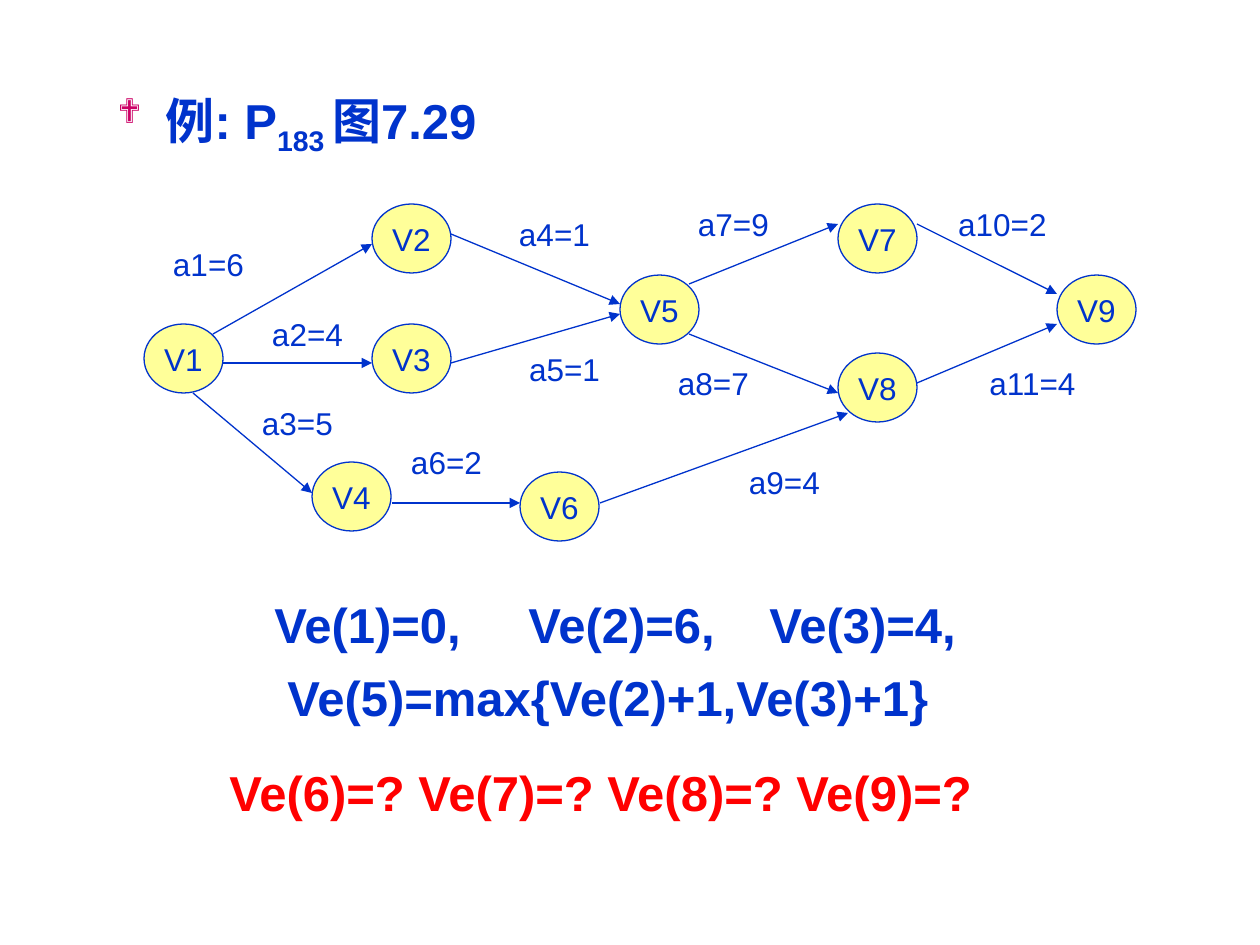
from lxml import etree
from pptx import Presentation
from pptx import util as u
from pptx.dml.color import RGBColor
from pptx.enum import shapes, text
from pptx.oxml.ns import qn

PX = u.Inches(1) / 126
BLUE, RED, CREAM, WHITE = "0033CC", "FF0000", "FFFF99", "FFFFFF"
NODE = (79, 69)
LABEL = (89, 39)

NODES = {
    "V1": (144, 324), "V2": (372, 204), "V3": (372, 324),
    "V4": (312, 462), "V5": (620, 275), "V6": (520, 472),
    "V7": (838, 204), "V8": (838, 353), "V9": (1057, 275),
}

# Label, its left and top, then the start and end of the arrow
EDGES = [
    ("a1=6", (164, 244), (213, 334), (372, 244)),
    ("a2=4", (263, 314), (223, 363), (372, 363)),
    ("a3=5", (253, 403), (193, 393), (312, 493)),
    ("a4=1", (510, 214), (451, 234), (620, 304)),
    ("a5=1", (520, 349), (451, 363), (620, 314)),
    ("a6=2", (402, 442), (392, 503), (520, 503)),
    ("a7=9", (689, 204), (689, 284), (838, 224)),
    ("a8=7", (669, 363), (689, 334), (838, 393)),
    ("a9=4", (740, 462), (600, 503), (848, 413)),
    ("a10=2", (958, 204), (917, 224), (1057, 294)),
    ("a11=4", (988, 363), (917, 383), (1057, 324)),
]


def px(*nums):
    return [u.Emu(round(n * PX)) for n in nums]


def color(code):
    return RGBColor.from_string(code)


def add_sub(parent, tag, **attrs):
    """Append an XML child with the given attributes."""
    node = etree.SubElement(parent, qn(tag))
    for key, val in attrs.items():
        node.set(key, str(val))
    return node


def style(para, size, code, bold=False):
    for run in para.runs:
        font = run.font
        font.name, font.size, font.bold = "Arial", u.Pt(size), bold
        font.color.rgb = color(code)


def add_title(slide):
    title = slide.shapes.title
    title.left, title.top, title.width, title.height = px(105, 96, 1072, 80)
    frame = title.text_frame
    frame.vertical_anchor = text.MSO_ANCHOR.TOP
    frame.auto_size = text.MSO_AUTO_SIZE.NONE
    para = frame.paragraphs[0]
    para.alignment = text.PP_ALIGN.LEFT
    para.line_spacing = 0.7
    para.space_before = u.Pt(0)
    props = para._p.get_or_add_pPr()
    hang = px(48)[0]
    props.set("marL", str(hang))
    props.set("indent", str(-hang))
    add_sub(add_sub(props, "a:buClr"), "a:srgbClr", val="CC0066")
    add_sub(props, "a:buSzPct", val=70000)
    add_sub(props, "a:buFont", typeface="Wingdings")
    add_sub(props, "a:buChar", char="❖")
    for part in ("例: P", "183 ", "图7.29"):
        para.add_run().text = part
    style(para, 28, BLUE, True)
    para.runs[1].font._element.set("baseline", "-25000")


def add_box(slide, kind, label, spot, size, fill, line=None):
    """Draw a filled shape with one centred line of text."""
    box = slide.shapes.add_shape(kind, *px(*spot, *size))
    box.shadow.inherit = False
    box.fill.solid()
    box.fill.fore_color.rgb = color(fill)
    if line:
        box.line.color.rgb = color(line)
        box.line.width = u.Pt(0.75)
    else:
        box.line.fill.background()
    frame = box.text_frame
    frame.word_wrap = False
    frame.vertical_anchor = text.MSO_ANCHOR.MIDDLE
    frame.text = label
    para = frame.paragraphs[0]
    para.alignment = text.PP_ALIGN.CENTER
    style(para, 18, BLUE)


def add_arrow(slide, start, end):
    line = slide.shapes.add_connector(
        shapes.MSO_CONNECTOR.STRAIGHT, *px(*start, *end))
    line.line.color.rgb = color(BLUE)
    line.line.width = u.Pt(0.75)
    add_sub(line.line._get_or_add_ln(), "a:tailEnd", type="triangle")
    add_sub(line._element.spPr, "a:effectLst")


def add_text(slide, lines, area, code):
    box = slide.shapes.add_textbox(*px(*area))
    frame = box.text_frame
    frame.word_wrap = True
    frame.text = "\n".join(lines)
    for para in frame.paragraphs:
        style(para, 28, code, True)
    return frame.paragraphs


def add_times(slide):
    """Write the earliest event times under the graph."""
    first, last = add_text(
        slide,
        ["Ve(1)=0,\tVe(2)=6,\tVe(3)=4,", "Ve(5)=max{Ve(2)+1,Ve(3)+1}"],
        (262, 588, 814, 142), BLUE)
    tabs = add_sub(first._p.get_or_add_pPr(), "a:tabLst")
    for pos in px(254, 495):
        add_sub(tabs, "a:tab", pos=pos, algn="l")
    last.space_before = u.Pt(8)
    last._p.get_or_add_pPr().set("marL", str(px(13)[0]))
    add_text(slide, ["Ve(6)=? Ve(7)=? Ve(8)=? Ve(9)=?"],
             (217, 756, 873, 72), RED)


def main():
    deck = Presentation()
    deck.slide_width, deck.slide_height = u.Inches(10), u.Inches(7.5)
    slide = deck.slides.add_slide(deck.slide_layouts[5])
    add_title(slide)
    for name, spot in NODES.items():
        add_box(slide, shapes.MSO_SHAPE.OVAL, name, spot, NODE, CREAM, BLUE)
    for label, spot, start, end in EDGES:
        add_box(slide, shapes.MSO_SHAPE.RECTANGLE, label, spot, LABEL, WHITE)
        add_arrow(slide, start, end)
    add_times(slide)
    deck.save("out.pptx")


if __name__ == "__main__":
    main()
